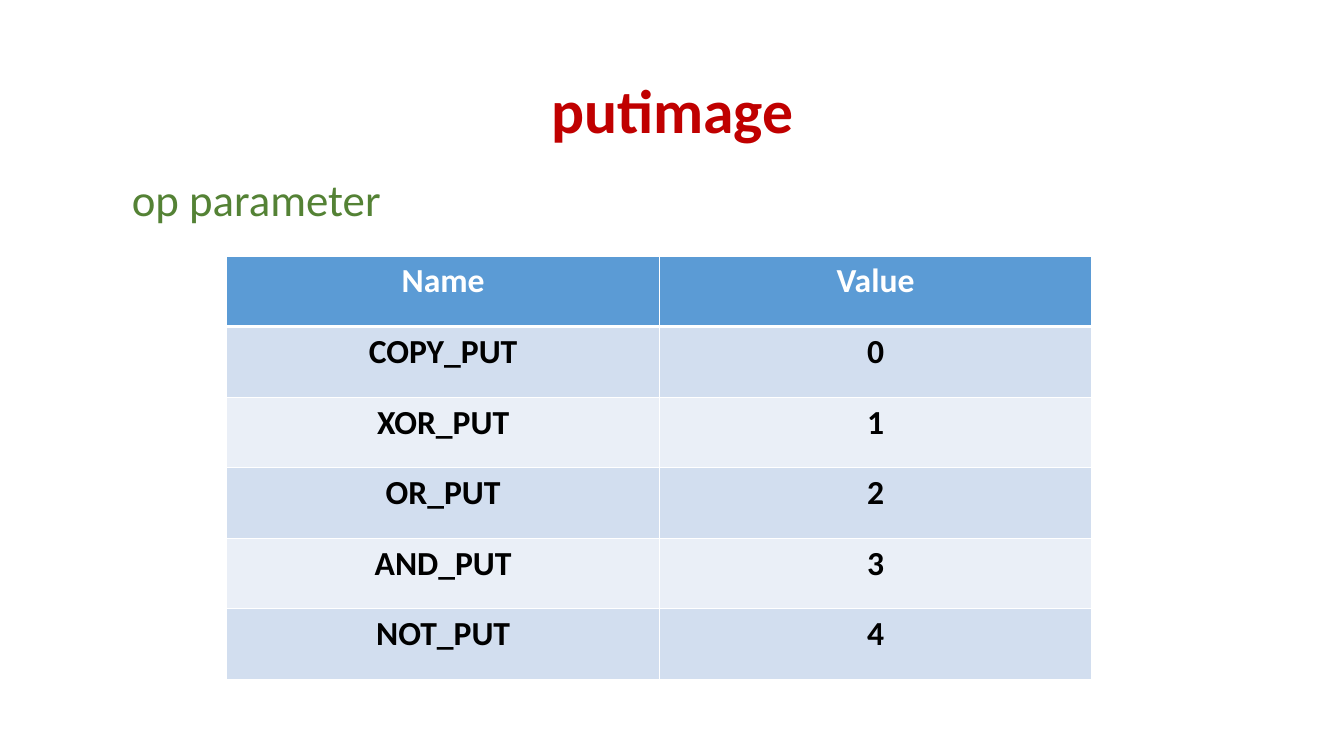
from pptx import Presentation
from pptx.dml.color import RGBColor
from pptx.enum.text import MSO_ANCHOR, MSO_AUTO_SIZE, PP_ALIGN
from pptx.oxml.ns import qn
from pptx.util import Inches, Pt
from lxml.etree import SubElement

TITLE = "putimage"
SUBTITLE = "op parameter"
ROWS = [
    ("Name", "Value"),
    ("COPY_PUT", "0"),
    ("XOR_PUT", "1"),
    ("OR_PUT", "2"),
    ("AND_PUT", "3"),
    ("NOT_PUT", "4"),
]
FONT = "Calibri"
COLORS = {
    "title": "C00000",
    "subtitle": "548235",
    "header": "5B9BD5",
    "odd": "D2DEEF",
    "even": "EAEFF7",
    "white": "FFFFFF",
    "black": "000000",
}
COL_W, ROW_H = 4.29, 0.7


def rgb(name):
    return RGBColor.from_string(COLORS[name])


def add_run(p, text, size, color, bold=False):
    r = p.add_run()
    r.text = text
    r.font.name = FONT
    r.font.size = Pt(size)
    r.font.bold = bold
    r.font.color.rgb = rgb(color)


def set_borders(cell, top, bottom):
    tc_pr = cell._tc.get_or_add_tcPr()
    for side, width in (("L", 1), ("R", 1), ("T", top), ("B", bottom)):
        ln = SubElement(tc_pr, qn(f"a:ln{side}"), w=str(Pt(width)))
        fill = SubElement(ln, qn("a:solidFill"))
        SubElement(fill, qn("a:srgbClr"), val=COLORS["white"])


def add_title(s):
    sp = s.shapes.title
    sp.left, sp.top = Inches(0.92), Inches(0.4)
    sp.width, sp.height = Inches(11.5), Inches(1.45)
    tf = sp.text_frame
    tf.vertical_anchor = MSO_ANCHOR.MIDDLE
    p = tf.paragraphs[0]
    p.alignment = PP_ALIGN.CENTER
    p.line_spacing = 0.9
    add_run(p, TITLE, 44, "title", True)


def add_values_table(s):
    frame = s.shapes.add_table(
        len(ROWS), len(ROWS[0]), Inches(2.25), Inches(2.54),
        Inches(COL_W * len(ROWS[0])), Inches(ROW_H * len(ROWS)))
    table = frame.table
    for col in table.columns:
        col.width = Inches(COL_W)
    for i, row in enumerate(ROWS):
        table.rows[i].height = Inches(ROW_H)
        fill = "header" if i == 0 else "odd" if i % 2 else "even"
        for j, text in enumerate(row):
            cell = table.cell(i, j)
            set_borders(cell, 3 if i == 1 else 1, 3 if i == 0 else 1)
            cell.fill.solid()
            cell.fill.fore_color.rgb = rgb(fill)
            p = cell.text_frame.paragraphs[0]
            p.alignment = PP_ALIGN.CENTER
            add_run(p, text, 24, "black" if i else "white", True)


def add_subtitle(s):
    sp = s.shapes.add_textbox(Inches(1.21), Inches(1.65), Inches(2.7), Inches(0.64))
    tf = sp.text_frame
    tf.word_wrap = False
    tf.auto_size = MSO_AUTO_SIZE.SHAPE_TO_FIT_TEXT
    add_run(tf.paragraphs[0], SUBTITLE, 32, "subtitle")


def main():
    prs = Presentation()
    prs.slide_width, prs.slide_height = Inches(13.33), Inches(7.5)
    s = prs.slides.add_slide(prs.slide_layouts[5])
    add_title(s)
    add_values_table(s)
    add_subtitle(s)
    prs.save("out.pptx")


if __name__ == "__main__":
    main()
